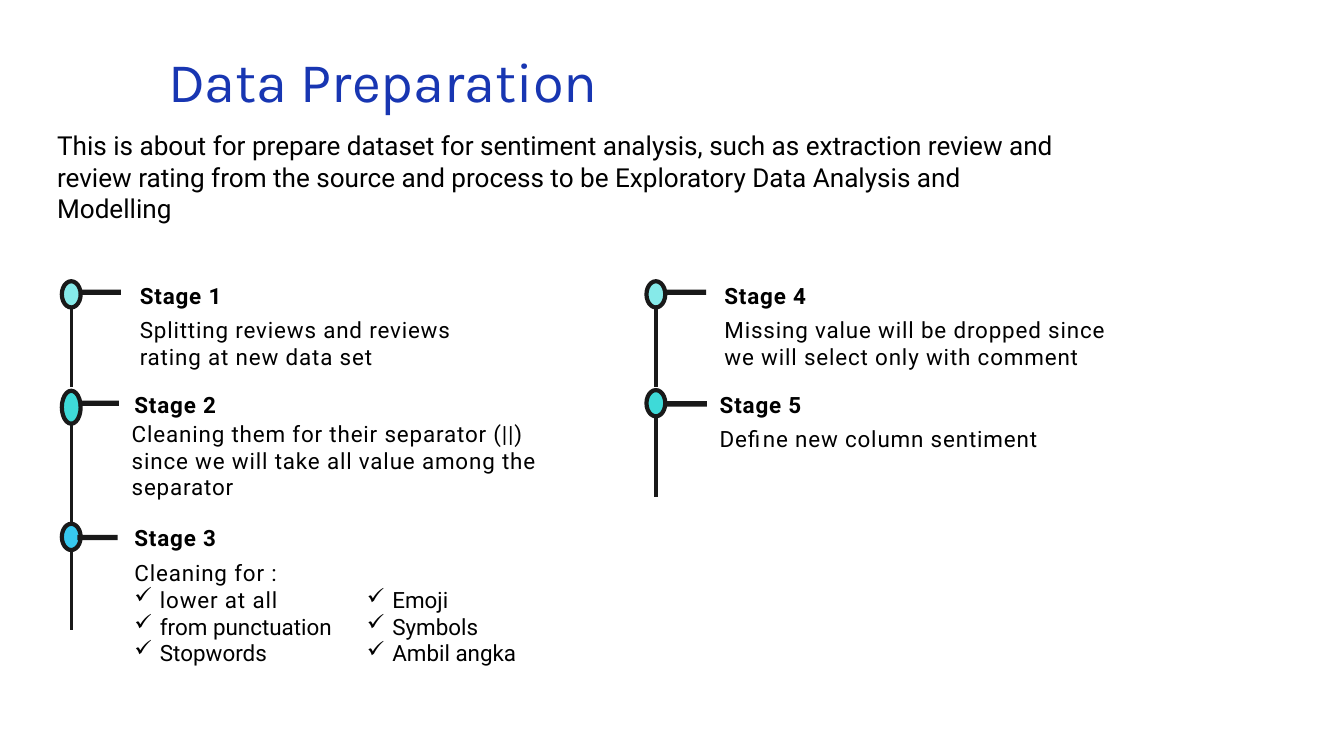
from dataclasses import dataclass

from lxml.etree import SubElement
from pptx import Presentation
from pptx.dml.color import RGBColor
from pptx.enum.shapes import MSO_CONNECTOR, MSO_SHAPE
from pptx.enum.text import MSO_ANCHOR, MSO_AUTO_SIZE, PP_ALIGN
from pptx.oxml.ns import qn
from pptx.util import Inches, Pt


@dataclass(frozen=True)
class Theme:
    """Colours, fonts and type sizes of the slide."""

    title_color: str = "1836B2"
    text_color: str = "000000"
    line_color: str = "191919"
    node_colors: tuple = ("86EAE9", "3EDAD8", "37C9EF")
    title_font: str = "Karla"
    text_font: str = "Roboto"
    title_size: float = 60
    intro_size: float = 28
    stage_size: float = 24
    heading_leading: float = 29.7
    body_leading: float = 28.5
    tracking: float = 0.9


@dataclass(frozen=True)
class Stage:
    """Content and placement, in inches, of one timeline stage."""

    name: str
    body: str
    color: str
    axis: float
    node_middle: float
    stem_end: float
    tick_left: float
    tick_top: float
    heading_left: float
    heading_top: float
    body_left: float
    body_top: float
    width: float
    body_height: float
    node_height: float = 0.39


THEME = Theme()
LIGHT, TEAL, BLUE = THEME.node_colors
STAGES = (
    Stage("Stage 1", "Splitting reviews and reviews rating at new data set", LIGHT,
          1.06, 4.38, 5.76, 1.2, 4.31, 2.08, 4.18, 2.08, 4.71, 5.42, 0.81),
    Stage("Stage 2", "Cleaning them for their separator (||) since we will take all value "
          "among the separator", TEAL,
          1.06, 6.06, 7.8, 1.17, 5.96, 2, 5.8, 1.96, 6.26, 6.04, 1.22, 0.49),
    Stage("Stage 3", "Cleaning for :", BLUE,
          1.06, 7.99, 9.38, 1.15, 7.96, 2, 7.79, 2, 8.33, 5.42, 2.03),
    Stage("Stage 4", "Missing value will be dropped since we will select only with comment", LIGHT,
          9.76, 4.38, 5.76, 9.91, 4.31, 10.78, 4.18, 10.78, 4.71, 6.11, 1.22),
    Stage("Stage 5", "Define new column sentiment", TEAL,
          9.76, 6, 7.39, 9.92, 5.97, 10.71, 5.8, 10.71, 6.33, 6.19, 0.41),
)


def add_text(frame, text, size=THEME.stage_size, font=THEME.text_font, color=THEME.text_color,
             bold=False, tracking=0, leading=None, bullet=None):
    """Write one formatted paragraph, filling the frame's empty first one if there is one."""
    first = frame.paragraphs[0]
    paragraph = frame.add_paragraph() if first.runs else first
    paragraph.alignment = PP_ALIGN.LEFT
    if bullet:
        properties = paragraph._p.get_or_add_pPr()
        properties.set("marL", str(Inches(0.38)))
        properties.set("indent", str(Inches(-0.38)))
        SubElement(properties, qn("a:buChar")).set("char", bullet)
    if leading:
        paragraph.line_spacing = Pt(leading)
    run = paragraph.add_run()
    run.text = text
    run.font.size = Pt(size)
    run.font.name = font
    run.font.bold = bold
    run.font.color.rgb = RGBColor.from_string(color)
    if tracking:
        run._r.get_or_add_rPr().set("spc", str(round(tracking * 100)))


def add_frame(slide, left, top, width, height, inset=True):
    """Add a wrapping text box and return its text frame."""
    box = slide.shapes.add_textbox(Inches(left), Inches(top), Inches(width), Inches(height))
    frame = box.text_frame
    frame.word_wrap = True
    frame.auto_size = MSO_AUTO_SIZE.SHAPE_TO_FIT_TEXT
    if not inset:
        frame.margin_left = frame.margin_top = frame.margin_right = frame.margin_bottom = 0
    return frame


def add_title(slide, text):
    """Place and format the title placeholder."""
    title = slide.shapes.title
    title.left, title.top = Inches(2.4), Inches(0.12)
    title.width, title.height = Inches(6.79), Inches(1.48)
    frame = title.text_frame
    frame.word_wrap = False
    frame.auto_size = MSO_AUTO_SIZE.SHAPE_TO_FIT_TEXT
    frame.vertical_anchor = MSO_ANCHOR.TOP
    add_text(frame, text, size=THEME.title_size, font=THEME.title_font,
             color=THEME.title_color, leading=110)


def add_filled(slide, kind, left, top, width, height, color):
    """Add a flat preset shape without an outline."""
    shape = slide.shapes.add_shape(kind, Inches(left), Inches(top), Inches(width), Inches(height))
    shape.shadow.inherit = False
    shape.fill.solid()
    shape.fill.fore_color.rgb = RGBColor.from_string(color)
    shape.line.fill.background()
    return shape


def add_stem(slide, x, top, bottom):
    """Draw the vertical line below a node."""
    stem = slide.shapes.add_connector(MSO_CONNECTOR.STRAIGHT, Inches(x), Inches(top),
                                      Inches(x), Inches(bottom))
    stem.line.color.rgb = RGBColor.from_string(THEME.line_color)
    stem.line.width = Pt(3.6)
    SubElement(stem._element.spPr, qn("a:effectLst"))


def add_marker(slide, stage):
    """Draw the stem, node and tick of a stage."""
    half = stage.node_height / 2
    add_stem(slide, stage.axis, stage.node_middle + half, stage.stem_end)
    node = add_filled(slide, MSO_SHAPE.OVAL, stage.axis - 0.14, stage.node_middle - half,
                      0.28, stage.node_height, stage.color)
    node.line.color.rgb = RGBColor.from_string(THEME.line_color)
    node.line.width = Pt(4.5)
    add_filled(slide, MSO_SHAPE.RECTANGLE, stage.tick_left, stage.tick_top, 0.6, 0.08,
               THEME.line_color)


def add_stage(slide, stage):
    """Add a stage's marker, heading and body; return the body's text frame."""
    add_marker(slide, stage)
    heading = add_frame(slide, stage.heading_left, stage.heading_top, stage.width, 0.42, inset=False)
    add_text(heading, stage.name, bold=True, tracking=THEME.tracking,
             leading=THEME.heading_leading)
    body = add_frame(slide, stage.body_left, stage.body_top, stage.width, stage.body_height,
                     inset=False)
    add_text(body, stage.body, tracking=THEME.tracking, leading=THEME.body_leading)
    return body


def add_checks(frame, items, tracking=0):
    """Append check-marked items to a text frame."""
    for item in items:
        add_text(frame, item, tracking=tracking, leading=THEME.body_leading, bullet="✓")


def main():
    """Build and save the slide."""
    presentation = Presentation()
    presentation.slide_width, presentation.slide_height = Inches(20), Inches(11.25)
    slide = presentation.slides.add_slide(presentation.slide_layouts[5])
    add_title(slide, "Data Preparation")
    intro = add_frame(slide, 0.85, 1.93, 15.07, 1.41, inset=False)
    add_text(intro, "This is about for prepare dataset for sentiment analysis, such as extraction "
             "review and review rating from the source and process to be Exploratory Data "
             "Analysis and Modelling", size=THEME.intro_size)
    bodies = {stage.name: add_stage(slide, stage) for stage in STAGES}
    add_checks(bodies["Stage 3"], ["lower at all"], tracking=THEME.tracking)
    add_checks(bodies["Stage 3"], ["from punctuation", "Stopwords"])
    add_checks(add_frame(slide, 5.36, 8.68, 4.16, 1.32), ["Emoji", "Symbols", "Ambil angka"])
    presentation.save("out.pptx")


if __name__ == "__main__":
    main()
